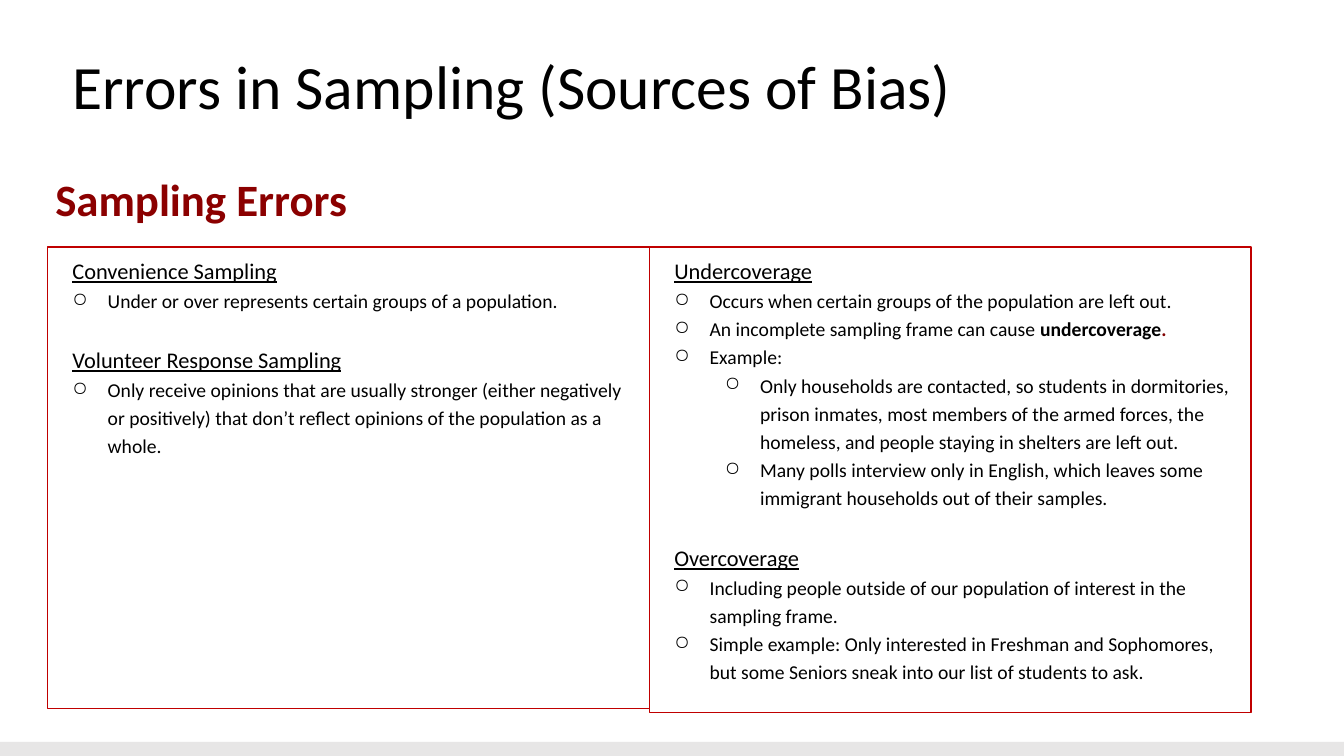
from pptx import Presentation
from pptx.dml.color import RGBColor
from pptx.enum.shapes import MSO_SHAPE as Shape
from pptx.enum.text import MSO_ANCHOR as Anchor, PP_ALIGN as Align
from pptx.util import Inches, Pt
from lxml.etree import SubElement
from pptx.oxml.ns import qn

BLACK = RGBColor(0x00, 0x00, 0x00)
WHITE = RGBColor(0xFF, 0xFF, 0xFF)
GREY = RGBColor(0xE7, 0xE6, 0xE6)
RED = RGBColor(0xC0, 0x00, 0x00)
DARK = RGBColor(0x8B, 0x00, 0x00)
MAROON = RGBColor(0x80, 0x00, 0x00)

HEAD, ITEM, SUB = range(3)
INDENTS = {HEAD: (0.15, 0), ITEM: (0.5, -0.35), SUB: (1, -0.35)}

# Each box: left, height, paragraphs as (kind, pieces of text)
BOXES = [
    (6.44, 4.62, [
        (HEAD, ["Undercoverage"]),
        (ITEM, ["Occurs when certain groups of the population are left out."]),
        (ITEM, ["An incomplete sampling frame can cause ", "undercoverage", "."]),
        (ITEM, ["Example:"]),
        (SUB, ["Only households are contacted, so students in dormitories, "
               "prison inmates, most members of the armed forces, the "
               "homeless, and people staying in shelters are left out."]),
        (SUB, ["Many polls interview only in English, which leaves some "
               "immigrant households out of their samples."]),
        (HEAD, ["Overcoverage"]),
        (ITEM, ["Including people outside of our population of interest in "
                "the sampling frame."]),
        (ITEM, ["Simple example: Only interested in Freshman and Sophomores, "
                "but some Seniors sneak into our list of students to ask."]),
    ]),
    (0.47, 4.58, [
        (HEAD, ["Convenience Sampling"]),
        (ITEM, ["Under or over represents certain groups of a population."]),
        (HEAD, ["Volunteer Response Sampling"]),
        (ITEM, ["Only receive opinions that are usually stronger (either "
                "negatively or positively) that don’t reflect opinions of "
                "the population as a whole."]),
    ]),
]


def style(run, size, color=BLACK, bold=False):
    font = run.font
    font.name, font.size, font.bold = "Calibri", Pt(size), bold
    font.color.rgb = color


def add_rect(left, top, width, height, fill):
    rect = slide.shapes.add_shape(Shape.RECTANGLE, Inches(left), Inches(top),
                                  Inches(width), Inches(height))
    rect.shadow.inherit = False
    rect.fill.solid()
    rect.fill.fore_color.rgb = fill
    rect.line.fill.background()
    return rect


deck = Presentation()
deck.slide_width, deck.slide_height = Inches(13.33), Inches(7.5)
slide = deck.slides.add_slide(deck.slide_layouts[6])

# Footer band
add_rect(0, 7.36, 13.33, 0.14, GREY)

# Title and subtitle
for text, place, size, color, bold, inset, spacing in [
    ("Sampling Errors", (0.45, 1.65, 3.14, 0.64), 32, DARK, True, 0.05, 1),
    ("Errors in Sampling (Sources of Bias)", (0.62, 0.47, 12.42, 0.84),
     44, BLACK, False, 0.1, 0.9),
]:
    box = slide.shapes.add_textbox(*map(Inches, place))
    frame = box.text_frame
    frame.word_wrap = True
    frame.vertical_anchor = Anchor.MIDDLE
    frame.margin_top = frame.margin_bottom = Inches(inset)
    frame.text = text
    para = frame.paragraphs[0]
    para.line_spacing = spacing
    style(para.runs[0], size, color, bold)

# Text boxes with headings and bullets
for left, height, paras in BOXES:
    rect = add_rect(left, 2.45, 5.97, height, WHITE)
    rect.line.color.rgb = RED
    rect.line.width = Pt(1)
    frame = rect.text_frame
    frame.word_wrap = True
    frame.vertical_anchor = Anchor.TOP

    for i, (kind, pieces) in enumerate(paras):
        para = frame.add_paragraph() if i else frame.paragraphs[0]
        para.alignment = Align.LEFT
        para.line_spacing = 1.2
        para.level = 1 if kind == SUB else 0
        if kind == HEAD and i:
            para.space_before = Pt(20.5)
        for j, piece in enumerate(pieces):
            run = para.add_run()
            run.text = piece
            style(run, 16 if kind == HEAD else 14,
                  MAROON if piece == "." else BLACK, j > 0)
            run.font.underline = kind == HEAD

        # Indent and bullet
        props = para._p.get_or_add_pPr()
        margin, hang = INDENTS[kind]
        props.set("marL", str(Inches(margin)))
        props.set("indent", str(Inches(hang)))
        if kind != HEAD:
            SubElement(props, qn("a:buChar")).set("char", "○")

deck.save("out.pptx")
